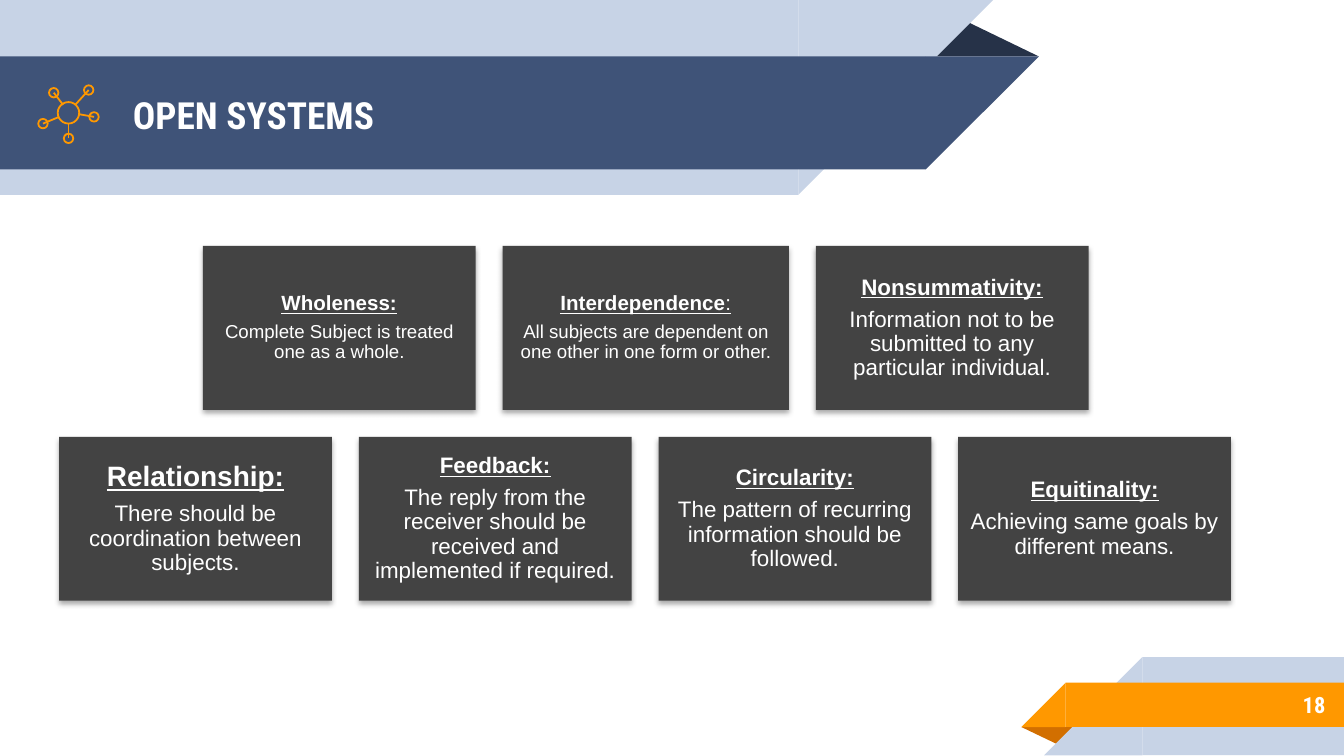
from typing import NamedTuple

from lxml.etree import SubElement
from pptx import Presentation
from pptx.dml.color import RGBColor
from pptx.enum.shapes import MSO_CONNECTOR, MSO_SHAPE
from pptx.enum.text import MSO_ANCHOR, PP_ALIGN
from pptx.oxml.ns import qn
from pptx.util import Inches, Pt

NAVY = RGBColor(0x3F, 0x53, 0x78)
DARK = RGBColor(0x26, 0x32, 0x48)
PALE = RGBColor(0xC7, 0xD3, 0xE6)
ORANGE = RGBColor(0xFF, 0x98, 0x00)
RUST = RGBColor(0xD2, 0x6F, 0x00)
GRAY = RGBColor(0x43, 0x43, 0x43)
WHITE = RGBColor(0xFF, 0xFF, 0xFF)

HEAD_FONT = "Roboto Condensed"
BODY_FONT = "Arial"
GAP = 0.2
CARD_TALL = 1.22


class Box(NamedTuple):
    left: float
    top: float
    width: float
    height: float

    def emu(self) -> tuple:
        return tuple(Inches(side) for side in self)


class Band(NamedTuple):
    box: Box
    slant: float
    color: RGBColor


class Fold(NamedTuple):
    box: Box
    turn: int
    color: RGBColor


class Spoke(NamedTuple):
    node: tuple
    hub: tuple


class Card(NamedTuple):
    title: str
    body: str
    big: int = 12
    small: int = 12
    width: float = 2.03
    inset: float = 0.05
    tail: str = ""


class Row(NamedTuple):
    left: float
    top: float
    cards: list


TOP_FOLD = Fold(Box(6.88, 0.14, 0.85, 0.28), 0, DARK)
TOP_BANDS = [
    Band(Box(0, 0, 5.94, 1.45), 1.45, PALE),
    Band(Box(0, 0.42, 6.89, 0.84), 0.84, NAVY),
]
LOW_FOLD = Fold(Box(7.6, 5.41, 0.43, 0.14), 180, RUST)
LOW_BANDS = [
    Band(Box(8.5, 4.89, 1.5, 0.73), 0.73, PALE),
    Band(Box(7.93, 5.08, 2.07, 0.33), 0.33, ORANGE),
]
SPOKES = [
    Spoke((0.4, 0.69), (0.47, 0.78)),
    Spoke((0.66, 0.67), (0.56, 0.78)),
    Spoke((0.7, 0.87), (0.59, 0.85)),
    Spoke((0.51, 1.03), (0.51, 0.92)),
    Spoke((0.32, 0.92), (0.44, 0.87)),
]
ROWS = [
    Row(1.51, 1.83, [
        Card("Wholeness:", "Complete Subject is treated one as a whole.", 11, 10),
        Card("Interdependence", "All subjects are dependent on one other in one form or other.",
             11, 10, width=2.13, tail=":"),
        Card("Nonsummativity:", "Information not to be submitted to any particular individual."),
    ]),
    Row(0.44, 3.25, [
        Card("Relationship:", "There should be coordination between subjects.", 15, inset=0.06),
        Card("Feedback:",
             "The reply from the receiver should be received and implemented if required."),
        Card("Circularity:", "The pattern of recurring information should be followed."),
        Card("Equitinality:", "Achieving same goals by different means."),
    ]),
]


def add_solid(slide, kind: MSO_SHAPE, box: Box, color: RGBColor):
    shape = slide.shapes.add_shape(kind, *box.emu())
    shape.shadow.inherit = False
    shape.fill.solid()
    shape.fill.fore_color.rgb = color
    shape.line.fill.background()
    return shape


def add_fold(slide, fold: Fold) -> None:
    shape = add_solid(slide, MSO_SHAPE.ISOSCELES_TRIANGLE, fold.box, fold.color)
    shape.adjustments[0] = 0.32
    shape.rotation = fold.turn


def add_band(slide, band: Band, flip: str) -> None:
    box, slant = band.box, band.slant
    add_solid(slide, MSO_SHAPE.RECTANGLE, box, band.color)
    left = box.left - slant if flip == "flipH" else box.left + box.width
    tip = Box(left, box.top, slant, box.height)
    shape = add_solid(slide, MSO_SHAPE.RIGHT_TRIANGLE, tip, band.color)
    shape.element.spPr.find(qn("a:xfrm")).set(flip, "1")


def add_run(para, text: str, size: int, font: str, bold: bool = False, under: bool = False) -> None:
    run = para.add_run()
    run.text = text
    run.font.size = Pt(size)
    run.font.name = font
    run.font.bold = bold
    run.font.underline = under
    run.font.color.rgb = WHITE


def set_frame(frame, inset: float) -> None:
    frame.word_wrap = True
    frame.vertical_anchor = MSO_ANCHOR.MIDDLE
    frame.margin_left = frame.margin_right = Inches(inset)
    frame.margin_top = frame.margin_bottom = Inches(inset)


def add_label(slide, box: Box, text: str, size: int, align: PP_ALIGN) -> None:
    frame = slide.shapes.add_textbox(*box.emu()).text_frame
    set_frame(frame, 0.1)
    para = frame.paragraphs[0]
    para.alignment = align
    add_run(para, text, size, HEAD_FONT, bold=True)


def add_ring(slide, center: tuple, size: float) -> None:
    left, top = (side - size / 2 for side in center)
    ring = slide.shapes.add_shape(MSO_SHAPE.OVAL, *Box(left, top, size, size).emu())
    ring.shadow.inherit = False
    ring.fill.background()
    ring.line.color.rgb = ORANGE
    ring.line.width = Pt(0.96)


def add_spoke(slide, spoke: Spoke) -> None:
    ends = [Inches(side) for side in spoke.node + spoke.hub]
    line = slide.shapes.add_connector(MSO_CONNECTOR.STRAIGHT, *ends)
    line.line.color.rgb = ORANGE
    line.line.width = Pt(0.96)
    SubElement(line.element.spPr, qn("a:effectLst"))


def add_shade(shape) -> None:
    effects = shape.element.spPr.find(qn("a:effectLst"))
    shade = SubElement(effects, qn("a:outerShdw"), blurRad=str(Pt(3.1)),
                       dist=str(Pt(1.8)), dir="5400000", rotWithShape="0")
    color = SubElement(shade, qn("a:srgbClr"), val="000000")
    SubElement(color, qn("a:alpha"), val="35000")


def set_para(para, size: int) -> None:
    para.alignment = PP_ALIGN.CENTER
    para.line_spacing = 0.9
    para.space_after = Pt(size * 0.35)


def add_card(slide, card: Card, left: float, top: float) -> None:
    box = Box(left, top, card.width, CARD_TALL)
    shape = add_solid(slide, MSO_SHAPE.RECTANGLE, box, GRAY)
    add_shade(shape)
    frame = shape.text_frame
    set_frame(frame, card.inset)
    head = frame.paragraphs[0]
    set_para(head, card.big)
    add_run(head, card.title, card.big, BODY_FONT, bold=True, under=True)
    if card.tail:
        add_run(head, card.tail, card.big, BODY_FONT, under=True)
    body = frame.add_paragraph()
    set_para(body, card.small)
    add_run(body, card.body, card.small, BODY_FONT)


def main() -> None:
    deck = Presentation()
    deck.slide_width = Inches(10)
    deck.slide_height = Inches(10) * 9 // 16
    slide = deck.slides.add_slide(deck.slide_layouts[6])
    add_fold(slide, TOP_FOLD)
    for band in TOP_BANDS:
        add_band(slide, band, "flipV")
    add_fold(slide, LOW_FOLD)
    for band in LOW_BANDS:
        add_band(slide, band, "flipH")
    add_label(slide, Box(0.89, 0.43, 5.75, 0.84), "OPEN SYSTEMS", 20, PP_ALIGN.LEFT)
    add_label(slide, Box(8.33, 5.07, 1.63, 0.35), "18", 12, PP_ALIGN.RIGHT)
    for spoke in SPOKES:
        add_ring(slide, spoke.node, 0.07)
        add_spoke(slide, spoke)
    add_ring(slide, (0.51, 0.84), 0.16)
    for row in ROWS:
        left = row.left
        for card in row.cards:
            add_card(slide, card, left, row.top)
            left += card.width + GAP
    deck.save("out.pptx")


if __name__ == "__main__":
    main()
